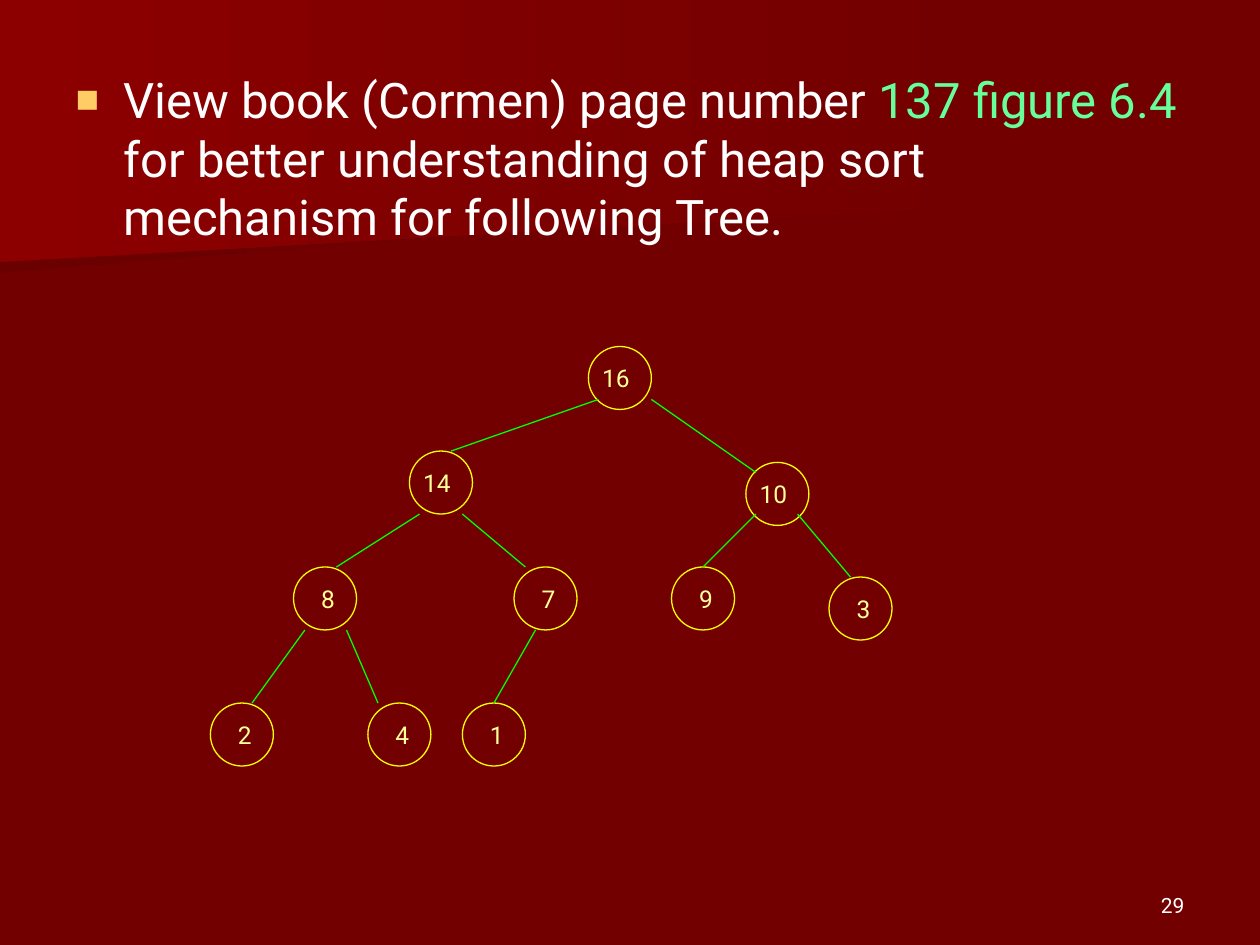
from dataclasses import dataclass

from lxml import etree
from pptx import Presentation
from pptx.dml.color import RGBColor
from pptx.enum.shapes import MSO_CONNECTOR, MSO_SHAPE
from pptx.enum.text import MSO_ANCHOR, MSO_AUTO_SIZE, PP_ALIGN
from pptx.oxml.ns import qn
from pptx.util import Inches, Pt

OVAL = MSO_SHAPE.OVAL
LINE = MSO_CONNECTOR.STRAIGHT
RIGHT = PP_ALIGN.RIGHT
MIDDLE, BOTTOM = MSO_ANCHOR.MIDDLE, MSO_ANCHOR.BOTTOM
NO_FIT = MSO_AUTO_SIZE.NONE


@dataclass(frozen=True)
class Theme:
    font: str = "Roboto"
    back: str = "720000"
    shade: str = "6B0000"
    glow: str = "8C0000"
    text: str = "FFFFFF"
    accent: str = "66FF99"
    bullet: str = "FFCC66"
    ring: str = "FFFF00"
    key: str = "FFFF99"
    edge: str = "00FF00"
    body_size: float = 28
    key_size: float = 14
    page_size: float = 12
    stroke: float = 0.75


@dataclass(frozen=True)
class Node:
    key: str
    left: float
    top: float


@dataclass(frozen=True)
class Edge:
    x1: float
    y1: float
    x2: float
    y2: float


@dataclass(frozen=True)
class Band:
    points: tuple
    start: str


THEME = Theme()
SIZE = 0.5  # node diameter

BANDS = (
    Band(((7.78, 1.53), (0, 2.17), (0, 1.01), (7.79, 1.01), (7.78, 1.28)),
         THEME.shade),
    Band(((7.92, 1.62), (0, 2.08), (0, 0), (7.92, 0)), THEME.glow),
)

NODES = (
    Node("16", 4.67, 2.75),
    Node("14", 3.25, 3.58), Node("10", 5.92, 3.67),
    Node("8", 2.33, 4.5), Node("7", 4.08, 4.5),
    Node("9", 5.33, 4.5), Node("3", 6.58, 4.58),
    Node("2", 1.67, 5.58), Node("4", 2.92, 5.58), Node("1", 3.67, 5.58),
)

EDGES = (
    Edge(4.75, 3.17, 3.58, 3.58), Edge(5.17, 3.17, 6, 3.75),
    Edge(3.33, 4.08, 2.67, 4.5), Edge(3.67, 4.08, 4.17, 4.5),
    Edge(6, 4.08, 5.58, 4.5), Edge(6.33, 4.08, 6.75, 4.58),
    Edge(2.42, 5, 2, 5.58), Edge(2.75, 5, 3, 5.58),
    Edge(4.25, 5, 3.92, 5.58),
)

BODY = (
    ("View book (Cormen) page number ", THEME.text),
    ("137 figure 6.4", THEME.accent),
    (" for better understanding of heap sort mechanism for following Tree.",
     THEME.text),
)


def rgb(code: str) -> RGBColor:
    return RGBColor.from_string(code)


def style(run, size: float, color: str) -> None:
    run.font.name = THEME.font
    run.font.size = Pt(size)
    run.font.color.rgb = rgb(color)


def indent(para, width: float):
    """Set a hanging indent and return the paragraph properties."""
    props = para._p.get_or_add_pPr()
    props.set("marL", str(Inches(width)))
    props.set("indent", str(-Inches(width)))
    return props


def draw_band(shapes, band: Band) -> None:
    points = [(Inches(x), Inches(y)) for x, y in band.points]
    pen = shapes.build_freeform(*points[0], scale=1.0)
    pen.add_line_segments(points[1:], close=True)
    shape = pen.convert_to_shape()
    shape.shadow.inherit = False
    shape.line.fill.background()
    shape.fill.gradient()
    shape.fill.gradient_angle = 0
    for stop, color in zip(shape.fill.gradient_stops, (band.start, THEME.back)):
        stop.color.rgb = rgb(color)


def fill_body(body) -> None:
    body.left, body.top = Inches(0.5), Inches(0.5)
    body.width, body.height = Inches(9), Inches(1.92)
    frame = body.text_frame
    frame.auto_size = NO_FIT
    para = frame.paragraphs[0]
    para.space_before = Pt(7)
    props = indent(para, 0.38)
    color = etree.SubElement(props, qn("a:buClr"))
    etree.SubElement(color, qn("a:srgbClr"), val=THEME.bullet)
    etree.SubElement(props, qn("a:buSzPct"), val="80000")
    etree.SubElement(props, qn("a:buChar"), char="■")
    for text, tint in BODY:
        run = para.add_run()
        run.text = text
        style(run, THEME.body_size, tint)


def draw_node(shapes, node: Node) -> None:
    shape = shapes.add_shape(OVAL, Inches(node.left), Inches(node.top),
                             Inches(SIZE), Inches(SIZE))
    shape.shadow.inherit = False
    shape.fill.background()
    shape.line.color.rgb = rgb(THEME.ring)
    shape.line.width = Pt(THEME.stroke)
    frame = shape.text_frame
    frame.word_wrap = False
    frame.vertical_anchor = MIDDLE
    frame.text = node.key
    para = frame.paragraphs[0]
    para.alignment = RIGHT
    para.space_before = Pt(3.5)
    indent(para, 0.31)
    style(para.runs[0], THEME.key_size, THEME.key)


def draw_edge(shapes, edge: Edge) -> None:
    line = shapes.add_connector(LINE, Inches(edge.x1), Inches(edge.y1),
                                Inches(edge.x2), Inches(edge.y2))
    line.line.color.rgb = rgb(THEME.edge)
    line.line.width = Pt(THEME.stroke)
    etree.SubElement(line._element.spPr, qn("a:effectLst"))


def draw_page(shapes, number: str) -> None:
    box = shapes.add_textbox(Inches(7.17), Inches(6.83),
                             Inches(2.33), Inches(0.5))
    frame = box.text_frame
    frame.word_wrap = True
    frame.vertical_anchor = BOTTOM
    frame.text = number
    para = frame.paragraphs[0]
    para.alignment = RIGHT
    style(para.runs[0], THEME.page_size, THEME.text)


def main() -> None:
    deck = Presentation()
    deck.slide_width, deck.slide_height = Inches(10), Inches(7.5)
    # The slide has body text but no title
    slide = deck.slides.add_slide(deck.slide_layouts[1])
    shapes = slide.shapes
    title, body = shapes.title, slide.placeholders[1]
    title._element.getparent().remove(title._element)

    # Background, with the bands kept behind the body text
    slide.background.fill.solid()
    slide.background.fill.fore_color.rgb = rgb(THEME.back)
    for band in BANDS:
        draw_band(shapes, band)
    shapes._spTree.append(body._element)

    # Text
    fill_body(body)
    draw_page(shapes, "29")

    # Heap tree
    for node in NODES:
        draw_node(shapes, node)
    for edge in EDGES:
        draw_edge(shapes, edge)

    deck.save("out.pptx")


if __name__ == "__main__":
    main()
